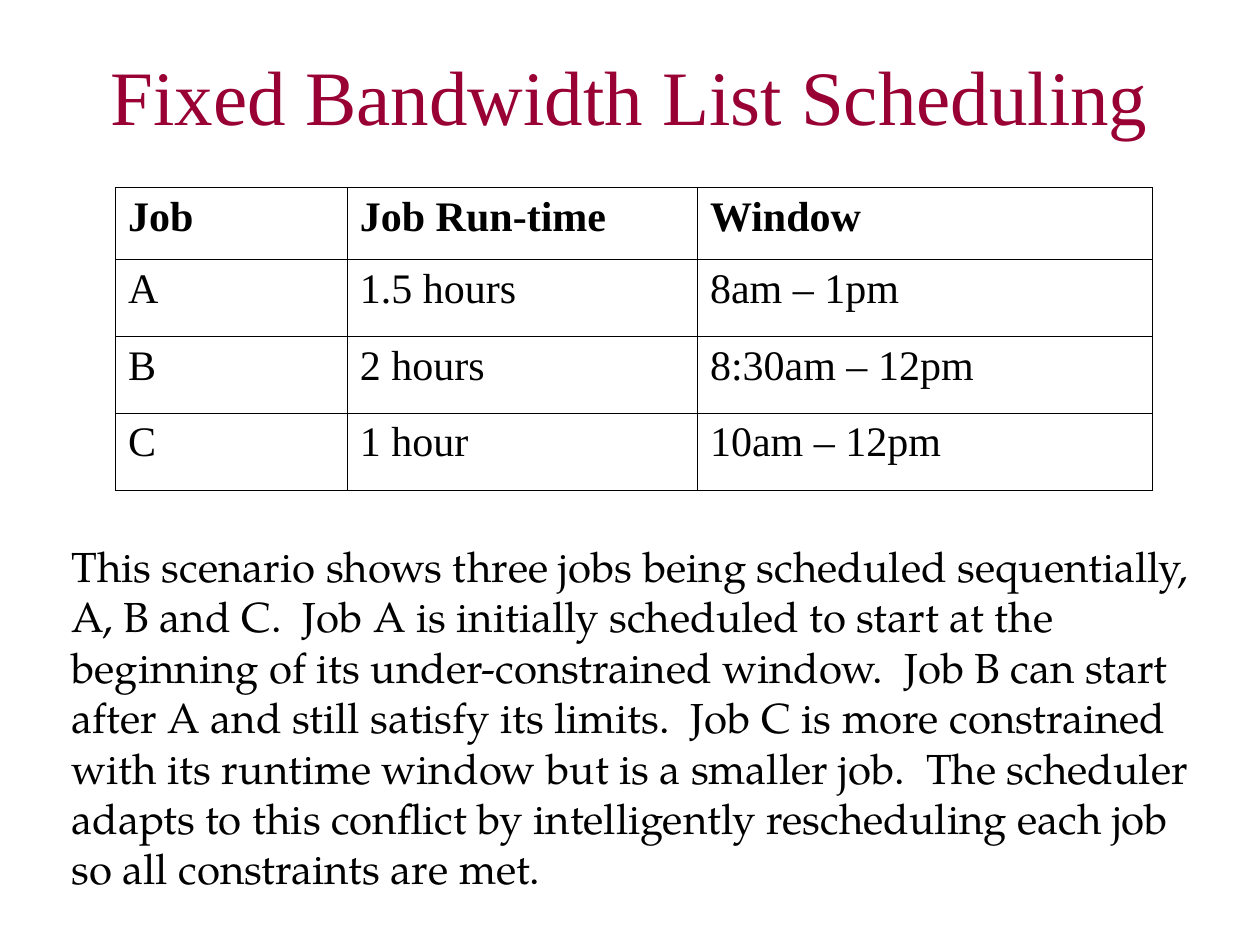
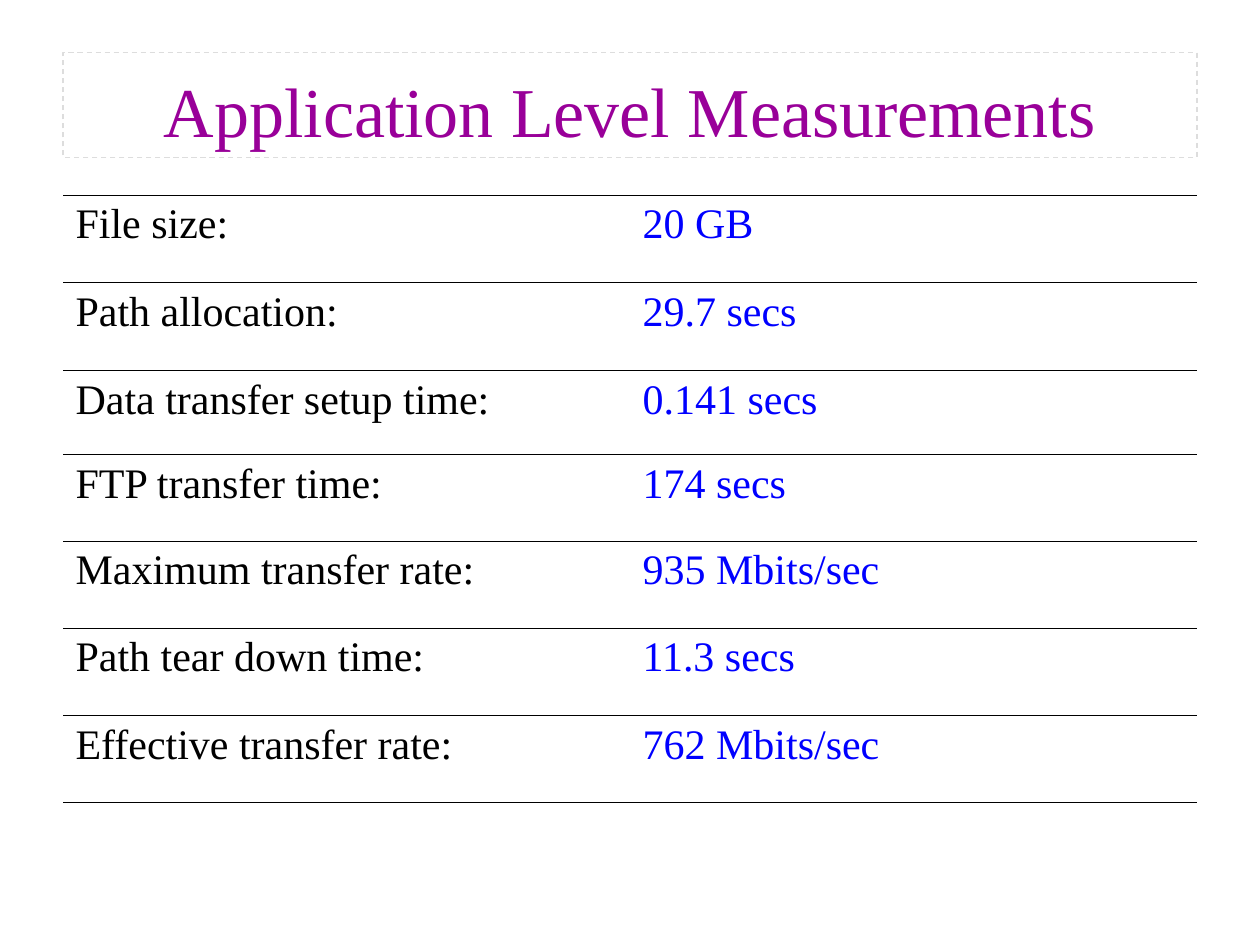
from lxml import etree
from pptx import Presentation
from pptx.dml.color import RGBColor
from pptx.enum.dml import MSO_LINE
from pptx.enum.shapes import MSO_SHAPE
from pptx.enum.text import MSO_ANCHOR, MSO_AUTO_SIZE, PP_ALIGN
from pptx.oxml.ns import qn
from pptx.util import Cm, Pt

BLACK = RGBColor(0, 0, 0)
BLUE = RGBColor(0, 0, 0xFF)
WINE = RGBColor(0x99, 0, 0x33)
PURPLE = RGBColor(0x99, 0, 0x99)
GREY = RGBColor(0xDD, 0xDD, 0xDD)

RECT = MSO_SHAPE.RECTANGLE
DASH = MSO_LINE.DASH
TOP, BOTTOM = MSO_ANCHOR.TOP, MSO_ANCHOR.BOTTOM
LEFT, CENTER = PP_ALIGN.LEFT, PP_ALIGN.CENTER
GROW = MSO_AUTO_SIZE.SHAPE_TO_FIT_TEXT

SERIF, BOOK = "Times New Roman", "TeX Gyre Pagella"
EDGE = Pt(0.45)
SIDES = "LRTB"

JOBS = [
    ("Job", "Job Run-time", "Window"),
    ("A", "1.5 hours", "8am – 1pm"),
    ("B", "2 hours", "8:30am – 12pm"),
    ("C", "1 hour", "10am – 12pm"),
]
STORY = (
    "This scenario shows three jobs being scheduled sequentially, A, B and C.  "
    "Job A is initially scheduled to start at the beginning of its "
    "under-constrained window.  Job B can start after A and still satisfy its "
    "limits.  Job C is more constrained with its runtime window but is a "
    "smaller job.  The scheduler adapts to this conflict by intelligently "
    "rescheduling each job so all constraints are met."
)
RATES = [
    ("File size:", "20 GB"),
    ("Path allocation:", "29.7 secs"),
    ("Data transfer setup time:", "0.141 secs"),
    ("FTP transfer time:", "174 secs"),
    ("Maximum transfer rate:", "935 Mbits/sec"),
    ("Path tear down time:", "11.3 secs"),
    ("Effective transfer rate:", "762 Mbits/sec"),
]


class Deck:
    base = {"name": SERIF, "size": Pt(24), "bold": False}

    def __init__(self):
        self.prs = Presentation()
        self.prs.slide_width, self.prs.slide_height = Cm(25.4), Cm(19.05)
        self.slide = None

    def start(self):
        self.slide = self.prs.slides.add_slide(self.prs.slide_layouts[6])

    def label(self, frame, text, color=BLACK, align=LEFT, **style):
        para = frame.paragraphs[0]
        para.alignment = align
        run = para.add_run()
        run.text = text
        for key, value in {**self.base, **style}.items():
            setattr(run.font, key, value)
        run.font.color.rgb = color

    def title(self, text, color, size, box, frame=False):
        """Add a centred title, with a dashed frame if asked."""
        shape = self.slide.shapes.add_shape(RECT, *map(Cm, box))
        shape.shadow.inherit = False
        shape.fill.background()
        if frame:
            shape.line.color.rgb = GREY
            shape.line.width = Pt(0.75)
            shape.line.dash_style = DASH
        else:
            shape.line.fill.background()
        shape.text_frame.word_wrap = True
        shape.text_frame.vertical_anchor = BOTTOM
        self.label(shape.text_frame, text, color, CENTER, size=Pt(size))

    def body(self, text, box):
        frame = self.slide.shapes.add_textbox(*map(Cm, box)).text_frame
        frame.word_wrap = True
        frame.auto_size = GROW
        frame.vertical_anchor = TOP
        self.label(frame, text, name=BOOK)

    def rule(self, cell, sides):
        """Draw the given sides of a cell and clear the others."""
        props = cell._tc.get_or_add_tcPr()
        for side in SIDES:
            line = etree.SubElement(props, qn(f"a:ln{side}"), w=str(EDGE))
            if side in sides:
                fill = etree.SubElement(line, qn("a:solidFill"))
                etree.SubElement(fill, qn("a:srgbClr"), val=str(BLACK))
            else:
                etree.SubElement(line, qn("a:noFill"))

    def table(self, rows, left, top, widths, heights, sides, colors, head=False):
        table = self.slide.shapes.add_table(
            len(rows), len(widths), Cm(left), Cm(top),
            Cm(sum(widths)), Cm(sum(heights))).table
        table.first_row = table.horz_banding = False
        for col, width in zip(table.columns, widths):
            col.width = Cm(width)
        for r, (row, height) in enumerate(zip(rows, heights)):
            table.rows[r].height = Cm(height)
            for c, (text, color) in enumerate(zip(row, colors)):
                cell = table.cell(r, c)
                self.rule(cell, sides)
                cell.fill.background()
                self.label(cell.text_frame, text, color, bold=head and r == 0)


def main():
    deck = Deck()

    deck.start()
    deck.body(STORY, (1.19, 10.77, 23.32, 7.37))
    deck.table(JOBS, 2.33, 3.78, (4.67, 7.06, 9.17), (1.45, 1.55, 1.55, 1.55),
               SIDES, [BLACK] * 3, head=True)
    deck.title("Fixed Bandwidth List Scheduling", WINE, 44,
               (1.27, 0.76, 22.86, 2.21))

    deck.start()
    deck.title("Application Level Measurements", PURPLE, 40,
               (1.27, 1.06, 22.86, 2.11), frame=True)
    deck.table(RATES, 1.27, 3.93, (11.43, 11.43),
               (1.77, 1.77, 1.69, 1.75, 1.75, 1.77, 1.75),
               "TB", [BLACK, BLUE])

    deck.prs.save("out.pptx")


if __name__ == "__main__":
    main()
